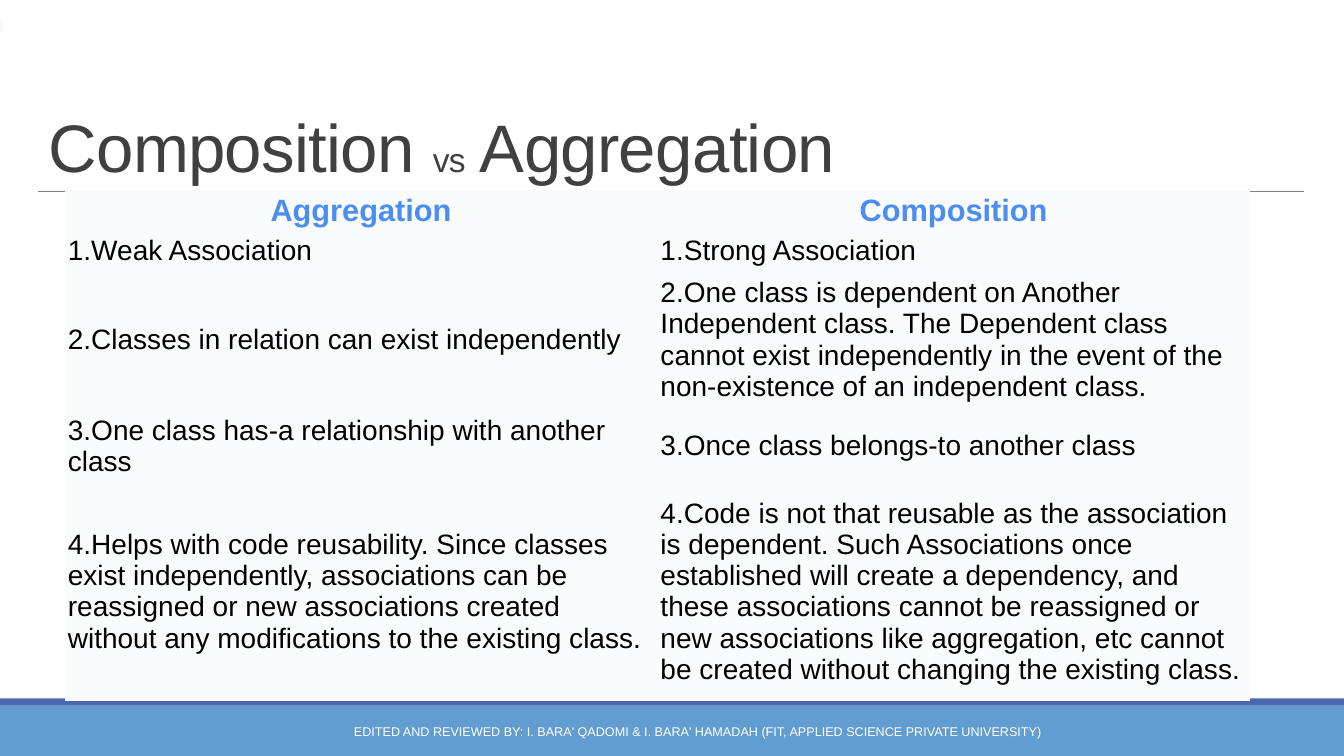
from dataclasses import dataclass

from pptx import Presentation
from pptx.dml.color import RGBColor
from pptx.enum.shapes import MSO_CONNECTOR, MSO_SHAPE
from pptx.enum.text import MSO_ANCHOR, MSO_AUTO_SIZE, PP_ALIGN
from pptx.oxml.ns import qn
from pptx.util import Cm, Pt

RECTANGLE = MSO_SHAPE.RECTANGLE
STRAIGHT = MSO_CONNECTOR.STRAIGHT
MIDDLE, BOTTOM = MSO_ANCHOR.MIDDLE, MSO_ANCHOR.BOTTOM
NO_AUTOFIT = MSO_AUTO_SIZE.NONE
LEFT, CENTER = PP_ALIGN.LEFT, PP_ALIGN.CENTER
TITLE_ONLY = 5
PLAIN_TABLE_STYLE = "{2D5ABB26-0587-4C30-8999-92F81FD0307C}"


@dataclass(frozen=True)
class Theme:
    """Colours, type sizes and font of the deck."""
    font: str = "Arial"
    title: str = "404040"
    rule: str = "808080"
    band: str = "629DD1"
    band_edge: str = "4A66AC"
    footer: str = "FFFFFF"
    header: str = "4A8EF2"
    body: str = "000000"
    cell: str = "FAFBFC"
    speck: str = "F8F9FA"
    title_size: int = 48
    small_title_size: int = 24
    header_size: int = 22
    body_size: int = 20
    footer_size: int = 9


THEME = Theme()
WIDTH, HEIGHT = 33.87, 19.05
ROW_HEIGHTS = [1.02, 0.91, 3.56, 1.75, 5.54]
TITLE_PARTS = [
    ("Composition ", THEME.title_size),
    ("vs", THEME.small_title_size),
    (" Aggregation", THEME.title_size),
]
FOOTER = ("EDITED AND REVIEWED BY: I. BARA' QADOMI & I. BARA' HAMADAH "
          "(FIT, APPLIED SCIENCE PRIVATE UNIVERSITY)")
COMPARISON = [
    ("Aggregation", "Composition"),
    ("1.Weak Association", "1.Strong Association"),
    ("2.Classes in relation can exist independently",
     "2.One class is dependent on Another Independent class. The Dependent class "
     "cannot exist independently in the event of the non-existence of an "
     "independent class."),
    ("3.One class has-a relationship with another class",
     "3.Once class belongs-to another class"),
    ("4.Helps with code reusability. Since classes exist independently, "
     "associations can be reassigned or new associations created without any "
     "modifications to the existing class.",
     "4.Code is not that reusable as the association is dependent. Such "
     "Associations once established will create a dependency, and these "
     "associations cannot be reassigned or new associations like aggregation, "
     "etc cannot be created without changing the existing class."),
]


def style_span(span, size, color, bold=False):
    """Format one run of text."""
    span.font.name = THEME.font
    span.font.size = Pt(size)
    span.font.bold = bold
    span.font.color.rgb = RGBColor.from_string(color)


def add_block(page, left, top, width, height, color):
    """Add a plain filled rectangle."""
    block = page.shapes.add_shape(RECTANGLE, Cm(left), Cm(top), Cm(width), Cm(height))
    block.shadow.inherit = False
    block.fill.solid()
    block.fill.fore_color.rgb = RGBColor.from_string(color)
    block.line.fill.background()


def add_title(page, left, top, width, height):
    """Place the title with a thin rule along its lower edge."""
    bottom = Cm(top + height)
    rule = page.shapes.add_connector(STRAIGHT, Cm(left), bottom, Cm(left + width), bottom)
    rule.line.color.rgb = RGBColor.from_string(THEME.rule)
    rule.line.width = Pt(0.5)
    properties = rule.element.spPr
    properties.append(properties.makeelement(qn("a:effectLst"), {}))

    title = page.shapes.title
    title.left, title.top = Cm(left), Cm(top)
    title.width, title.height = Cm(width), Cm(height)
    frame = title.text_frame
    frame.word_wrap = True
    frame.auto_size = NO_AUTOFIT
    frame.vertical_anchor = BOTTOM
    para = frame.paragraphs[0]
    para.alignment = LEFT
    para.line_spacing = 0.85
    for text, size in TITLE_PARTS:
        span = para.add_run()
        span.text = text
        style_span(span, size, THEME.title)
        span.font._element.set("spc", "-50")


def add_footer(page, left, top, width, height):
    """Draw the two-tone band with its centred credit line."""
    edge = 0.18
    add_block(page, left, top + edge, width, height - edge, THEME.band)
    add_block(page, left, top, width, edge, THEME.band_edge)
    box = page.shapes.add_textbox(Cm(left + 7.9), Cm(top + 0.33), Cm(19.35), Cm(1.02))
    frame = box.text_frame
    frame.word_wrap = True
    frame.vertical_anchor = MIDDLE
    frame.text = FOOTER
    para = frame.paragraphs[0]
    para.alignment = CENTER
    style_span(para.runs[0], THEME.footer_size, THEME.footer)


def fill_cell(cell, text, is_header):
    """Write and format one table cell."""
    cell.fill.solid()
    cell.fill.fore_color.rgb = RGBColor.from_string(THEME.cell)
    cell.vertical_anchor = MIDDLE
    cell.margin_left = cell.margin_right = Cm(0.08)
    cell.margin_top = cell.margin_bottom = Cm(0.05)
    cell.text_frame.text = text
    para = cell.text_frame.paragraphs[0]
    para.alignment = CENTER if is_header else LEFT
    size = THEME.header_size if is_header else THEME.body_size
    color = THEME.header if is_header else THEME.body
    style_span(para.runs[0], size, color, is_header)


def add_comparison(page, left, top, width, height):
    """Add the two-column comparison table."""
    holder = page.shapes.add_table(len(COMPARISON), 2, Cm(left), Cm(top), Cm(width), Cm(height))
    holder.element.find(".//" + qn("a:tableStyleId")).text = PLAIN_TABLE_STYLE
    table = holder.table
    table.first_row = table.horz_banding = False
    for row_index, texts in enumerate(COMPARISON):
        table.rows[row_index].height = Cm(ROW_HEIGHTS[row_index])
        for column_index, text in enumerate(texts):
            fill_cell(table.cell(row_index, column_index), text, row_index == 0)


def build_comparison_page(deck):
    """Build the comparison slide."""
    page = deck.slides.add_slide(deck.slide_layouts[TITLE_ONLY])
    add_footer(page, 0, 17.6, WIDTH, HEIGHT - 17.6)
    add_title(page, 0.97, 0.79, 31.9, 4.04)
    add_block(page, 0, 0.51, 0.08, 0.28, THEME.speck)
    add_comparison(page, 1.63, 4.8, 29.87, sum(ROW_HEIGHTS))


def main():
    """Create and save the deck."""
    deck = Presentation()
    deck.slide_width, deck.slide_height = Cm(WIDTH), Cm(HEIGHT)
    build_comparison_page(deck)
    deck.save("out.pptx")


if __name__ == "__main__":
    main()
